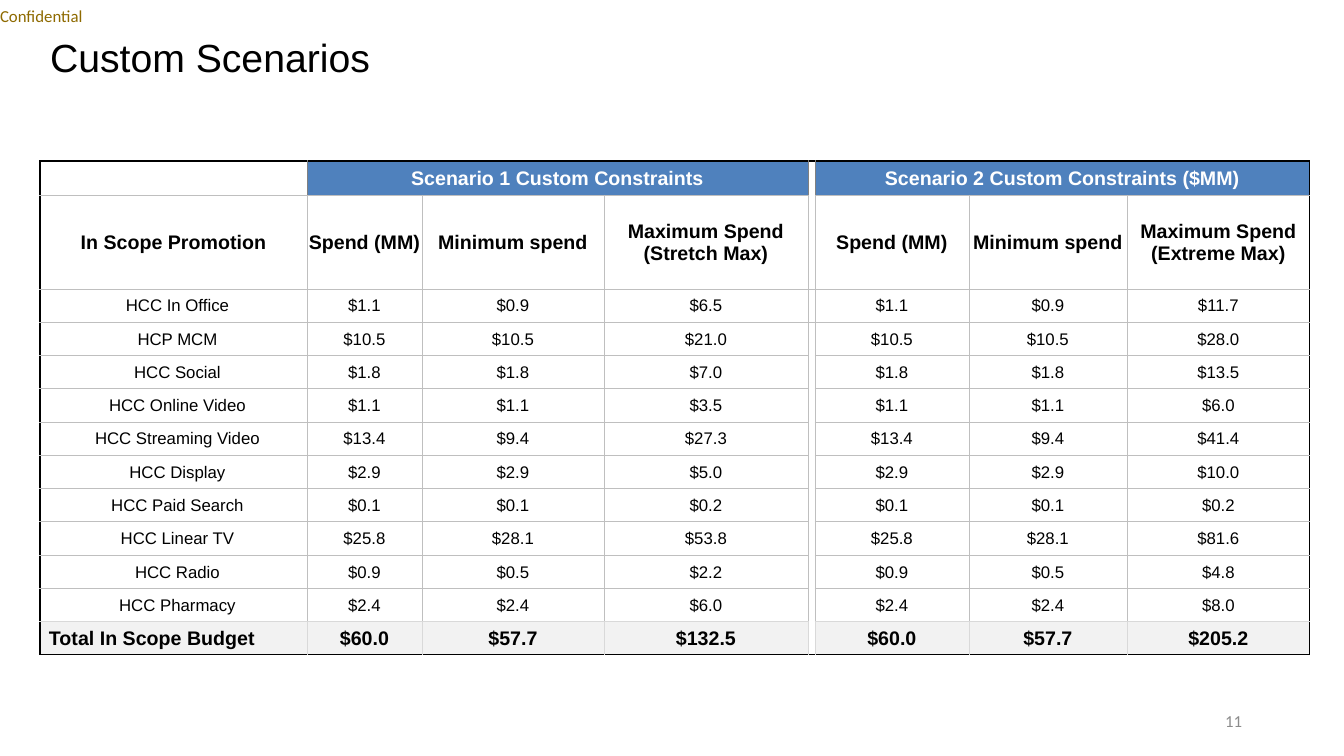
import pptx
import pptx.util
import pptx.dml.color
import pptx.enum.text
import lxml.etree

RGB = pptx.dml.color.RGBColor
ALIGN = pptx.enum.text.PP_ALIGN
MIDDLE = pptx.enum.text.MSO_ANCHOR.MIDDLE
BLACK = RGB(0x00, 0x00, 0x00)
WHITE = RGB(0xFF, 0xFF, 0xFF)
GOLD = RGB(0x8E, 0x6A, 0x00)
BLUE = RGB(0x4F, 0x81, 0xBD)
DARK = RGB(0x80, 0x80, 0x80)
GREY = RGB(0xBF, 0xBF, 0xBF)
LIGHT = RGB(0xD9, 0xD9, 0xD9)
PALE = RGB(0xF2, 0xF2, 0xF2)
FOLIO = RGB(0x8C, 0x8C, 0x8C)
SCALE = 914400 / 100.8
PLAIN = "{2D5ABB26-0587-4C30-8999-92F81FD0307C}"  # no style, no grid


def px(count):
    return pptx.util.Emu(round(count * SCALE))


def write(frame, text, size=12, font="Arial", color=BLACK, bold=False, align=ALIGN.CENTER):
    for i, line in enumerate(text.split("\n")):
        para = frame.add_paragraph() if i else frame.paragraphs[0]
        para.alignment = align
        run = para.add_run()
        run.text = line
        run.font.size = pptx.util.Pt(size)
        run.font.name = font
        run.font.bold = bold
        run.font.color.rgb = color


deck = pptx.Presentation()
deck.slide_width, deck.slide_height = px(1344), px(756)
slide = deck.slides.add_slide(deck.slide_layouts[5])

# Title
title = slide.shapes.title
title.left, title.top, title.width, title.height = px(40), px(40), px(1210), px(40)
frame = title.text_frame
frame.auto_size = pptx.enum.text.MSO_AUTO_SIZE.NONE
frame.vertical_anchor = MIDDLE
write(frame, "Custom Scenarios", size=28, align=ALIGN.LEFT)
frame.paragraphs[0].line_spacing = 0.9

# Label and page number
label = slide.shapes.add_textbox(0, 0, px(118), px(32)).text_frame
label.margin_left = label.margin_right = label.margin_top = label.margin_bottom = 0
label.word_wrap = False
label.vertical_anchor = MIDDLE
write(label, "Confidential", font="Calibri", color=GOLD, align=ALIGN.LEFT)

page = slide.shapes.add_textbox(px(950), px(701), px(302), px(40)).text_frame
page.word_wrap = True
page.vertical_anchor = MIDDLE
write(page, "11", font="Calibri", color=FOLIO, align=ALIGN.RIGHT)

# Table content: the empty fifth column parts the two scenarios
DATA = [
    ["", "Scenario 1 Custom Constraints", "", "", "", "Scenario 2 Custom Constraints ($MM)", "", ""],
    ["In Scope Promotion", "Spend (MM)", "Minimum spend", "Maximum Spend\n(Stretch Max)", "",
     "Spend (MM)", "Minimum spend", "Maximum Spend\n(Extreme Max)"],
]
SPEND = [
    ("HCC In Office", "$1.1", "$0.9", "$6.5", "$11.7"),
    ("HCP MCM", "$10.5", "$10.5", "$21.0", "$28.0"),
    ("HCC Social", "$1.8", "$1.8", "$7.0", "$13.5"),
    ("HCC Online Video", "$1.1", "$1.1", "$3.5", "$6.0"),
    ("HCC Streaming Video", "$13.4", "$9.4", "$27.3", "$41.4"),
    ("HCC Display", "$2.9", "$2.9", "$5.0", "$10.0"),
    ("HCC Paid Search", "$0.1", "$0.1", "$0.2", "$0.2"),
    ("HCC Linear TV", "$25.8", "$28.1", "$53.8", "$81.6"),
    ("HCC Radio", "$0.9", "$0.5", "$2.2", "$4.8"),
    ("HCC Pharmacy", "$2.4", "$2.4", "$6.0", "$8.0"),
    ("Total In Scope Budget", "$60.0", "$57.7", "$132.5", "$205.2"),
]
for name, spend, low, stretch, top in SPEND:
    DATA.append([name, spend, low, stretch, "", spend, low, top])

# Table grid
WIDTHS = [267, 115, 182, 204, 7, 154, 158, 183]
GAP, END, LAST = 4, len(WIDTHS) - 1, len(DATA) - 1
table = slide.shapes.add_table(len(DATA), len(WIDTHS), px(40), px(161), px(1270), px(494)).table
table.first_row = table.horz_banding = False
table._tbl.tblPr[0].text = PLAIN
for col, width in zip(table.columns, WIDTHS):
    col.width = px(width)
for r, row in enumerate(table.rows):
    row.height = px(34) if r == 0 else px(94) if r == 1 else px(366) // len(SPEND)
for first in (1, 5):
    table.cell(0, first).merge(table.cell(0, first + 2))

for r, texts in enumerate(DATA):
    for c, text in enumerate(texts):
        cell = table.cell(r, c)
        cell.vertical_anchor = MIDDLE
        cell.margin_left = px(9 if c == 0 and r > 1 else 1)
        cell.margin_right = cell.margin_top = px(1)
        cell.margin_bottom = 0
        if c == GAP:
            cell.margin_left = cell.margin_right = 0

        # Borders
        edges = dict.fromkeys("LRTB", LIGHT if r == LAST else GREY)
        if r == LAST - 1:
            edges["B"] = LIGHT
        if c == GAP:
            edges["T"] = GREY if r == 2 else None
            edges["B"] = GREY if r == 1 else None
            if r < 2:
                edges["L"] = None
        if r == 1 and c == GAP - 1:
            edges["R"] = None
        if r == 0:
            edges["T"] = BLACK
            edges["L"] = DARK if c in (1, 5) else None
            edges["R"] = DARK if c in (0, GAP) else None
        if c == 0:
            edges["L"] = BLACK
        if c == END or (r == 0 and c == 5):
            edges["R"] = BLACK
        if r == LAST:
            edges["B"] = BLACK
        props = cell._tc.get_or_add_tcPr()
        for side, color in edges.items():
            if color is None:
                continue
            line = lxml.etree.SubElement(props, pptx.oxml.ns.qn("a:ln" + side))
            line.set("w", str(pptx.util.Pt(1 if color == BLACK else 0.5)))
            solid = lxml.etree.SubElement(line, pptx.oxml.ns.qn("a:solidFill"))
            lxml.etree.SubElement(solid, pptx.oxml.ns.qn("a:srgbClr")).set("val", str(color))

        # Fill and text
        fill = BLUE if r == 0 and c else PALE if r == LAST else None
        if fill is None or c == GAP:
            cell.fill.background()
        else:
            cell.fill.solid()
            cell.fill.fore_color.rgb = fill
        if text:
            strong = r < 2 or r == LAST
            write(cell.text_frame, text, size=14 if strong else 12, bold=strong,
                  color=WHITE if r == 0 else BLACK,
                  align=ALIGN.LEFT if r == LAST and c == 0 else ALIGN.CENTER)

deck.save("out.pptx")
